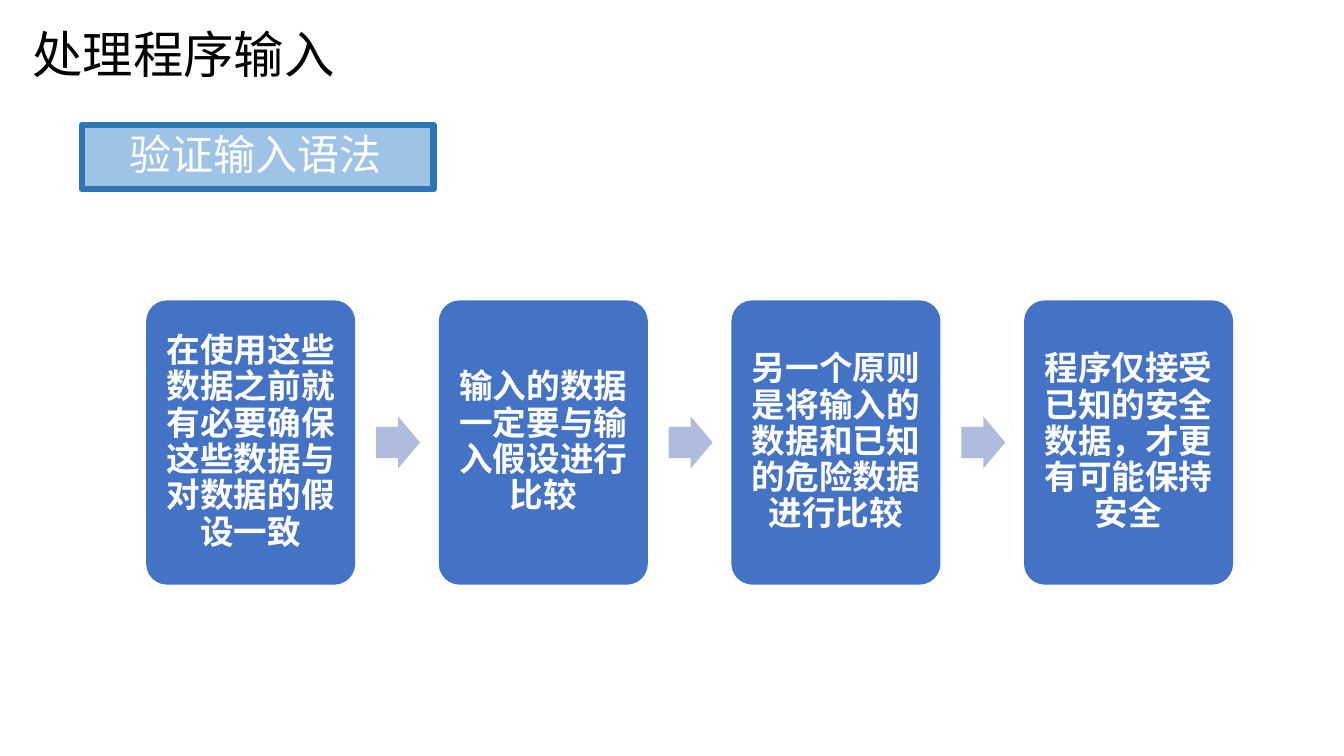
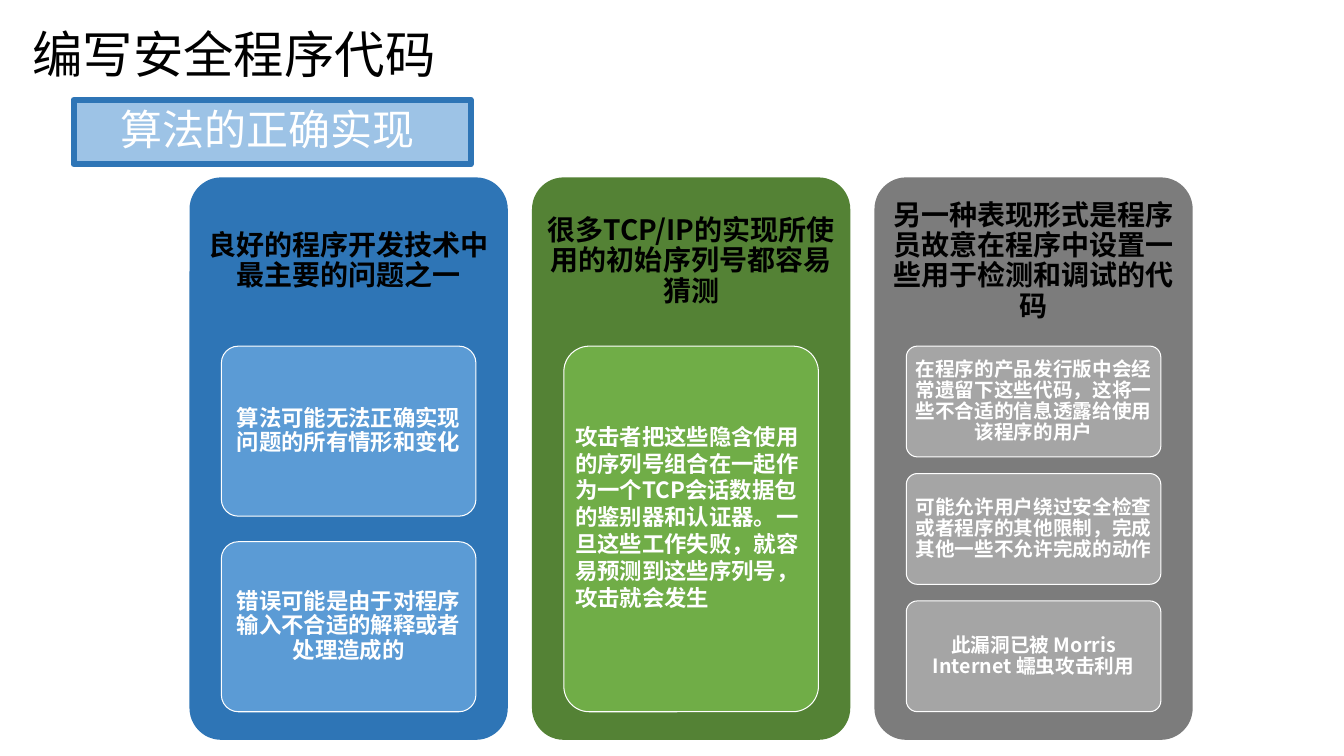
from dataclasses import dataclass

from pptx import Presentation
from pptx.dml.color import RGBColor
from pptx.enum.shapes import MSO_SHAPE
from pptx.enum.text import MSO_ANCHOR, MSO_AUTO_SIZE, PP_ALIGN
from pptx.oxml.ns import qn
from pptx.util import Inches, Pt

RECTANGLE = MSO_SHAPE.RECTANGLE
ROUNDED = MSO_SHAPE.ROUNDED_RECTANGLE
ARROW = MSO_SHAPE.RIGHT_ARROW
MIDDLE = MSO_ANCHOR.MIDDLE
LEFT, CENTER = PP_ALIGN.LEFT, PP_ALIGN.CENTER
NO_FIT = MSO_AUTO_SIZE.NONE
TITLE_ONLY = 5


@dataclass(frozen=True)
class Theme:
    font: str = "Noto Sans CJK SC"
    ink: str = "000000"
    paper: str = "FFFFFF"
    banner: str = "9DC3E6"
    banner_edge: str = "2E75B6"
    step: str = "4472C4"
    arrow: str = "B0BCDE"
    blue: tuple = ("2E75B6", "5B9BD5")
    green: tuple = ("548235", "70AD47")
    gray: tuple = ("7C7C7C", "A5A5A5")
    title_size: int = 36
    banner_size: int = 30
    step_size: int = 24
    heading_size: int = 20
    card_size: int = 16
    small_size: int = 14
    tight: float = 0.9
    relaxed: float = 1.0


@dataclass(frozen=True)
class Box:
    left: float
    top: float
    width: float
    height: float

    def lengths(self):
        return [Inches(v) for v in (self.left, self.top, self.width, self.height)]


THEME = Theme()
TITLE_BOX = Box(0.21, 0, 5.91, 1.06)


def write(shape, text, size, color, bold=False, align=CENTER, spacing=THEME.tight,
          insets=(0.1, 0.1, 0.1, 0.1)):
    frame = shape.text_frame
    frame.word_wrap = True
    frame.auto_size = NO_FIT
    frame.vertical_anchor = MIDDLE
    (frame.margin_left, frame.margin_top,
     frame.margin_right, frame.margin_bottom) = [Inches(v) for v in insets]
    paragraph = frame.paragraphs[0]
    paragraph.alignment = align
    paragraph.line_spacing = spacing
    paragraph._p.get_or_add_pPr().set("hangingPunct", "0")
    run = paragraph.add_run()
    run.text = text
    font = run.font
    font.name = THEME.font
    font.size = Pt(size)
    font.bold = bold
    font.color.rgb = RGBColor.from_string(color)
    properties = run._r.get_or_add_rPr()
    properties.set("lang", "zh-CN")
    east_asian = properties.makeelement(qn("a:ea"), {"typeface": THEME.font})
    properties.find(qn("a:latin")).addnext(east_asian)


def add_block(slide, kind, box, fill, line=None, line_width=0.75, adjustments=()):
    shape = slide.shapes.add_shape(kind, *box.lengths())
    shape.shadow.inherit = False
    shape.fill.solid()
    shape.fill.fore_color.rgb = RGBColor.from_string(fill)
    if line:
        shape.line.color.rgb = RGBColor.from_string(line)
        shape.line.width = Pt(line_width)
    else:
        shape.line.fill.background()
    for index, value in enumerate(adjustments):
        shape.adjustments[index] = value
    return shape


def add_topic_slide(presentation, title, topic, banner_box):
    slide = presentation.slides.add_slide(presentation.slide_layouts[TITLE_ONLY])
    heading = slide.shapes.title
    heading.left, heading.top, heading.width, heading.height = TITLE_BOX.lengths()
    write(heading, title, THEME.title_size, THEME.ink, align=LEFT,
          spacing=THEME.relaxed, insets=(0.11, 0.06, 0.11, 0.06))
    banner = add_block(slide, RECTANGLE, banner_box, THEME.banner,
                       THEME.banner_edge, 4.33)
    write(banner, topic, THEME.banner_size, THEME.paper, align=LEFT,
          insets=(0.47, 0, 0.47, 0))
    return slide


def add_process(slide, box, steps):
    gap_share = 0.4
    width = box.width / (len(steps) + gap_share * (len(steps) - 1))
    arrow_width, arrow_height = width * 0.21, width * 0.25
    for index, text in enumerate(steps):
        left = box.left + index * width * (1 + gap_share)
        if index:
            arrow_box = Box(left - width * 0.3,
                            box.top + (box.height - arrow_height) / 2,
                            arrow_width, arrow_height)
            add_block(slide, ARROW, arrow_box, THEME.arrow, adjustments=(0.6, 0.5))
        step = add_block(slide, ROUNDED, Box(left, box.top, width, box.height),
                         THEME.step, adjustments=(0.1,))
        write(step, text, THEME.step_size, THEME.paper, True)


def add_column(slide, box, heading, colors, cards, size, align=CENTER,
               spacing=THEME.tight, bottom=0.03):
    panel_color, card_color = colors
    add_block(slide, ROUNDED, box, panel_color, adjustments=(0.1,))
    header_box = Box(box.left, box.top, box.width, box.height * 0.3)
    header = slide.shapes.add_textbox(*header_box.lengths())
    write(header, heading, THEME.heading_size, THEME.ink, True,
          insets=(0.08, 0.08, 0.08, 0.08))
    gap_share = 0.15
    height = box.height * 0.65 / (len(cards) + gap_share * (len(cards) - 1))
    for index, text in enumerate(cards):
        card_box = Box(box.left + box.width * 0.1,
                       box.top + box.height * 0.3 + index * height * (1 + gap_share),
                       box.width * 0.8, height)
        card = add_block(slide, ROUNDED, card_box, card_color, THEME.paper,
                         adjustments=(0.1,))
        write(card, text, size, THEME.paper, True, align, spacing,
              (0.04, 0.03, 0.04, bottom))


def add_columns(slide, box, columns):
    gap = 0.24
    width = (box.width - gap * (len(columns) - 1)) / len(columns)
    for index, column in enumerate(columns):
        column_box = Box(box.left + index * (width + gap), box.top, width, box.height)
        add_column(slide, column_box, **column)


def main():
    presentation = Presentation()
    presentation.slide_width = Inches(13.33)
    presentation.slide_height = Inches(7.5)

    slide = add_topic_slide(presentation, "处理程序输入", "验证输入语法",
                            Box(0.81, 1.24, 3.49, 0.64))
    add_process(slide, Box(1.45, 2.98, 10.78, 2.82), [
        "在使用这些数据之前就有必要确保这些数据与对数据的假设一致",
        "输入的数据一定要与输入假设进行比较",
        "另一个原则是将输入的数据和已知的危险数据进行比较",
        "程序仅接受已知的安全数据，才更有可能保持安全",
    ])

    slide = add_topic_slide(presentation, "编写安全程序代码", "算法的正确实现",
                            Box(0.73, 0.99, 3.94, 0.64))
    add_columns(slide, Box(1.88, 1.76, 9.95, 5.58), [
        dict(heading="良好的程序开发技术中最主要的问题之一",
             colors=THEME.blue, size=THEME.card_size,
             cards=["算法可能无法正确实现问题的所有情形和变化",
                    "错误可能是由于对程序输入不合适的解释或者处理造成的"]),
        dict(heading="很多TCP/IP的实现所使用的初始序列号都容易猜测",
             colors=THEME.green, size=THEME.card_size,
             align=LEFT, spacing=THEME.relaxed, bottom=0.27,
             cards=["攻击者把这些隐含使用的序列号组合在一起作为一个TCP会话数据包的"
                    "鉴别器和认证器。一旦这些工作失败，就容易预测到这些序列号，攻击就会发生"]),
        dict(heading="另一种表现形式是程序员故意在程序中设置一些用于检测和调试的代码",
             colors=THEME.gray, size=THEME.small_size,
             cards=["在程序的产品发行版中会经常遗留下这些代码，"
                    "这将一些不合适的信息透露给使用该程序的用户",
                    "可能允许用户绕过安全检查或者程序的其他限制，完成其他一些不允许完成的动作",
                    "此漏洞已被 Morris Internet 蠕虫攻击利用"]),
    ])

    presentation.save("out.pptx")


if __name__ == "__main__":
    main()
